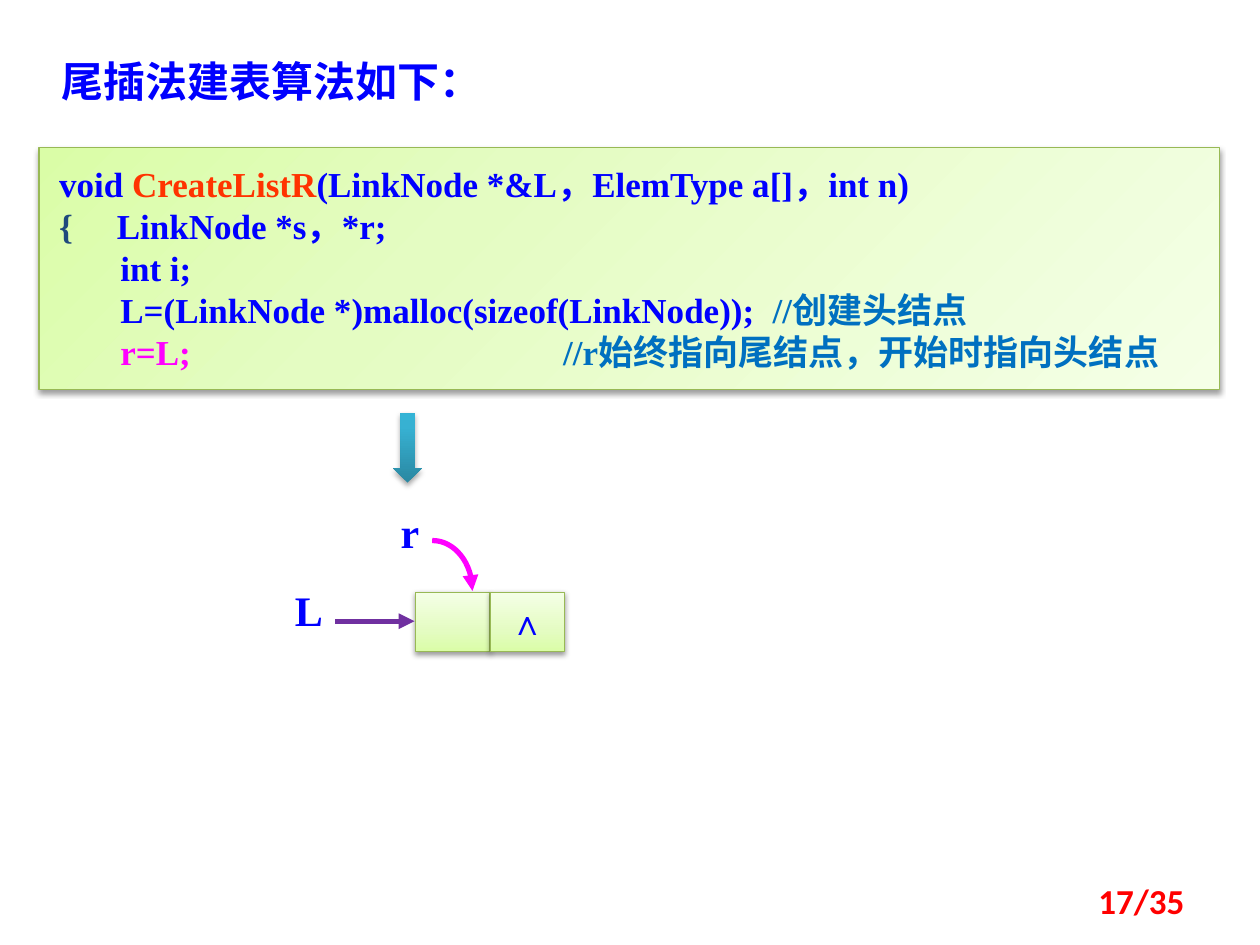
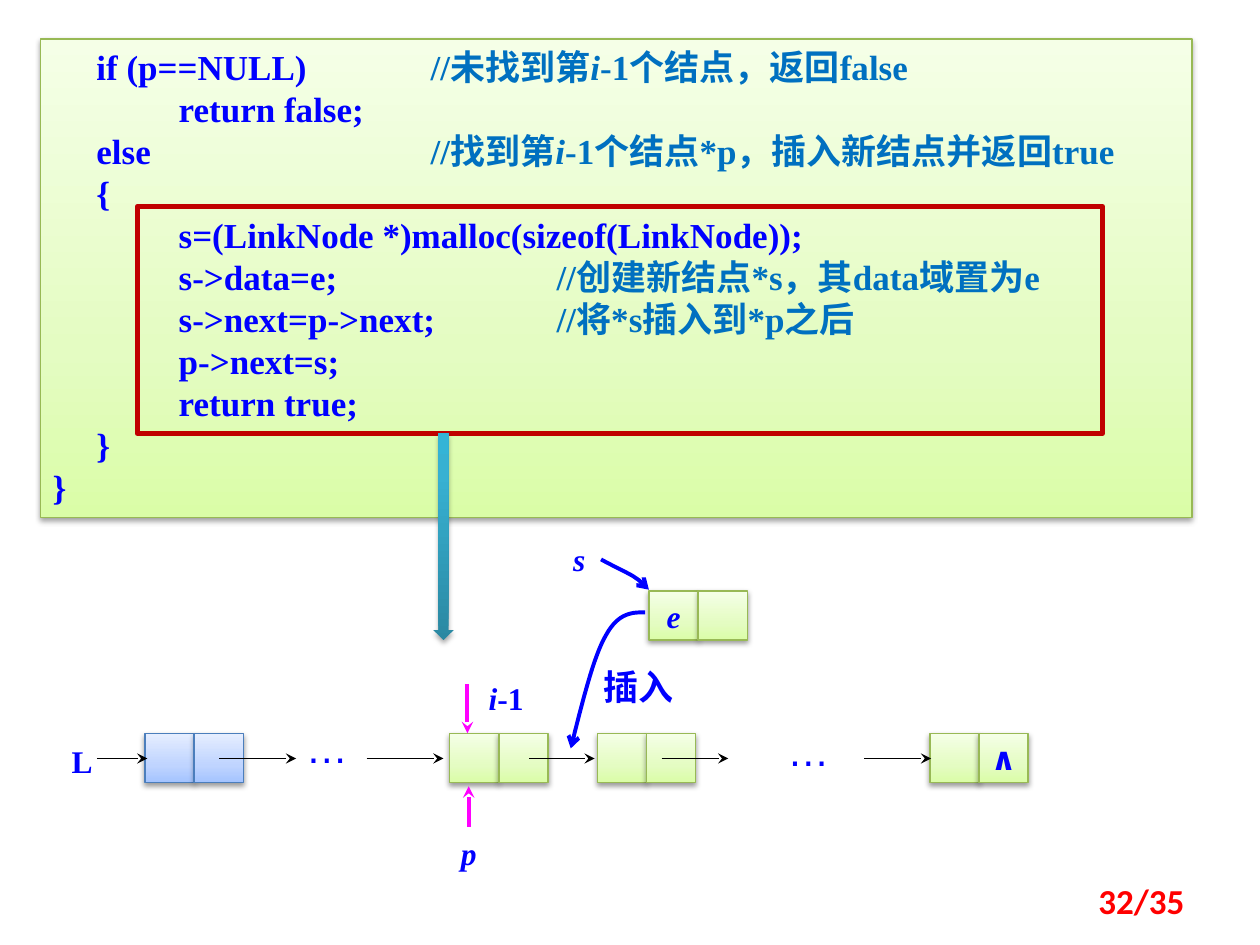
import pptx
import pptx.util
import pptx.dml.color
import pptx.enum.shapes
import pptx.enum.text
import pptx.oxml.ns
from lxml import etree

Inches, Pt, qn = pptx.util.Inches, pptx.util.Pt, pptx.oxml.ns.qn
MSO_SHAPE = pptx.enum.shapes.MSO_SHAPE
ANCHOR = pptx.enum.text.MSO_ANCHOR
ALIGN = pptx.enum.text.PP_ALIGN

COLORS = {
    "code": "0000FF", "function": "FF3300", "brace": "1F497D", "comment": "0070C0",
    "variable": "0070C0", "key": "FF00FF", "page": "FF0000", "pointer": "7030A0",
    "link": "000000", "frame": "C00000", "green edge": "98B955", "blue edge": "4B7EBC",
    "shadow": "000000",
}
GRADIENTS = {
    "green": ((0, "DAFDA7"), (35, "E4FCC2"), (100, "F5FFE7")),
    "blue": ((0, "A4C4FF"), (35, "BFD4FF"), (100, "E6EEFF")),
    "arrow": ((0, "2A88A2"), (80, "37B1D2"), (100, "34B4D6")),
}
SERIF, CJK, SANS, SYMBOL = "Times New Roman", "Noto Sans CJK SC", "Arial", "DejaVu Sans"
UPWARD, DIAGONAL = 90, 315

TITLE = "尾插法建表算法如下："
CREATE_CODE = [
    [("void ", "code"), ("CreateListR", "function"),
     ("(LinkNode *&L，ElemType a[]，int n)", "code")],
    [("{    ", "brace"), (" LinkNode *s，*r;", "code")],
    [("       int i;", "code")],
    [("       L=(LinkNode *)malloc(sizeof(LinkNode));  ", "code"), ("//创建头结点", "comment")],
    [("       r=L;\t\t\t", "key"), ("//r始终指向尾结点，开始时指向头结点", "comment")],
]
INSERT_CODE = [
    [("     if (p==NULL)\t", "code"), ("//未找到第", "comment"), ("i", "variable"),
     ("-1个结点，返回false", "comment")],
    [("\treturn false;", "code")],
    [("     else\t\t\t", "code"), ("//找到第", "comment"), ("i", "variable"),
     ("-1个结点*p，插入新结点并返回true", "comment")],
    [("     {", "code")],
    [("\ts=(LinkNode *)malloc(sizeof(LinkNode));", "code")],
    [("\ts->data=e;\t\t", "code"), ("//创建新结点*s，其data域置为e", "comment")],
    [("\ts->next=p->next;\t", "code"), ("//将*s插入到*p之后", "comment")],
    [("\tp->next=s;", "code")],
    [("\treturn true;", "code")],
    [("     }", "code")],
    [("}", "code")],
]

# left, top, cell texts, palette, font
ROW_TOP, ROW_MIDDLE, CELL = 5.82, 6.02, 0.39
LIST_NODES = [
    (1.15, ROW_TOP, ("", ""), "blue", SERIF),
    (3.57, ROW_TOP, ("", ""), "green", SERIF),
    (4.74, ROW_TOP, ("", ""), "green", SERIF),
    (7.38, ROW_TOP, ("", "∧"), "green", SYMBOL),
    (5.15, 4.69, ("e", ""), "green", SERIF),
]
LIST_LINKS = [(0.77, 1.17), (1.74, 2.35), (2.91, 3.52), (4.2, 4.72), (5.25, 5.78), (6.86, 7.39)]
POSITION_ARROWS = [((3.71, 5.43), (3.71, 5.82)), ((3.72, 6.56), (3.72, 6.24))]
INSERT_CURVES = [
    [(5.12, 4.86), (5.02, 4.86), (4.91, 4.86), (4.81, 5.04),
     (4.71, 5.21), (4.62, 5.58), (4.53, 5.94)],
    [(4.77, 4.44), (4.86, 4.49), (4.95, 4.53), (5.02, 4.57),
     (5.08, 4.61), (5.12, 4.64), (5.15, 4.68)],
]
# box, runs, font formats
LIST_LABELS = [
    ((4.69, 5.23, 0.86, 0.44), [("插入", "code")], {"size": Pt(20)}),
    ((0.47, 5.84, 0.35, 0.4), [("L", "code")], {"size": Pt(18)}),
    ((3.78, 5.34, 0.64, 0.4), [("i", "code italic"), ("-1", "code")], {"size": Pt(18)}),
    ((3.56, 6.57, 0.39, 0.4), [("p", "code italic")], {"size": Pt(18)}),
    ((4.45, 4.24, 0.39, 0.4), [("s", "code italic")], {"size": Pt(18)}),
    ((2.33, 5.68, 0.75, 0.5), [("…", "code")], {"size": Pt(24), "name": SANS, "bold": False}),
    ((6.15, 5.7, 0.79, 0.5), [("…", "code")], {"size": Pt(24), "name": SANS, "bold": False}),
]


def rgb(name):
    return pptx.dml.color.RGBColor.from_string(COLORS[name])


def set_all(target, values):
    for key, value in values.items():
        setattr(target, key, value)


def write(shape, lines, font=None, frame=None, align=ALIGN.LEFT, tabs=()):
    """Fill a shape with lines, each a list of (text, style) runs."""
    text_frame = shape.text_frame
    set_all(text_frame, {"word_wrap": True, "vertical_anchor": ANCHOR.TOP,
                         "auto_size": pptx.enum.text.MSO_AUTO_SIZE.NONE, **(frame or {})})
    for number, runs in enumerate(lines):
        paragraph = text_frame.add_paragraph() if number else text_frame.paragraphs[0]
        paragraph.alignment = align
        if tabs:
            stops = etree.SubElement(paragraph._p.get_or_add_pPr(), qn("a:tabLst"))
            for stop in tabs:
                etree.SubElement(stops, qn("a:tab"), pos=str(Inches(stop)), algn="l")
        for text, style in runs:
            run = paragraph.add_run()
            run.text = text
            italic = style == "variable" or style.endswith(" italic")
            set_all(run.font, {"name": SERIF, "size": Pt(20), "bold": True,
                               "italic": italic, **(font or {})})
            run.font.color.rgb = rgb(style.removesuffix(" italic"))
            east_asian = SYMBOL if run.font.name == SYMBOL else CJK
            etree.SubElement(run.font._element, qn("a:ea"), typeface=east_asian)


def add_label(slide, box, runs, font=None, frame=None, align=ALIGN.LEFT):
    label = slide.shapes.add_textbox(*map(Inches, box))
    write(label, [runs], font, frame, align)


def add_block(slide, kind, box, palette, angle=UPWARD, edge=True, shade=(38, 1.6)):
    """Add a gradient shape with a soft shadow below it."""
    block = slide.shapes.add_shape(kind, *map(Inches, box))
    block.fill.gradient()
    block.fill.gradient_angle = angle
    stops = block.element.spPr.find(qn("a:gradFill")).find(qn("a:gsLst"))
    for stop in list(stops):
        stops.remove(stop)
    for percent, color in GRADIENTS[palette]:
        stop = etree.SubElement(stops, qn("a:gs"), pos=str(percent * 1000))
        etree.SubElement(stop, qn("a:srgbClr"), val=color)
    if edge:
        block.line.color.rgb = rgb(f"{palette} edge")
        block.line.width = Pt(0.75)
    else:
        block.line.fill.background()
    block.shadow.inherit = False
    alpha, distance = shade
    shadow = etree.SubElement(block.element.spPr.find(qn("a:effectLst")), qn("a:outerShdw"),
                              blurRad=str(Pt(3.1)), dist=str(Pt(distance)),
                              dir="5400000", rotWithShape="0")
    color = etree.SubElement(shadow, qn("a:srgbClr"), val=COLORS["shadow"])
    etree.SubElement(color, qn("a:alpha"), val=str(alpha * 1000))
    return block


def add_code(slide, box, lines, angle=UPWARD, frame=None):
    panel = add_block(slide, MSO_SHAPE.RECTANGLE, box, "green", angle)
    write(panel, lines, frame=frame, tabs=(1, 2, 3, 4))


def add_node(slide, left, top, texts, palette, font, width=CELL, height=CELL):
    """Add a list node: a data cell and a pointer cell side by side."""
    for column, text in enumerate(texts):
        box = (left + column * width, top, width, height)
        cell = add_block(slide, MSO_SHAPE.RECTANGLE, box, palette)
        if text:
            style = "code italic" if text.isalpha() else "code"
            size = Pt(18) if width == CELL else Pt(20)
            write(cell, [[(text, style)]], {"name": font, "size": size},
                  {"word_wrap": False, "vertical_anchor": ANCHOR.MIDDLE}, ALIGN.CENTER)


def add_down_arrow(slide, box):
    add_block(slide, MSO_SHAPE.DOWN_ARROW, box, "arrow", edge=False, shade=(35, 1.8))


def style_arrow(arrow, color, width, head):
    arrow.line.color.rgb = rgb(color)
    arrow.line.width = Pt(width)
    etree.SubElement(arrow.line._get_or_add_ln(), qn("a:tailEnd"), type=head)


def add_arrow(slide, start, end, color, width, head):
    arrow = slide.shapes.add_connector(pptx.enum.shapes.MSO_CONNECTOR.STRAIGHT,
                                       *map(Inches, (*start, *end)))
    style_arrow(arrow, color, width, head)
    etree.SubElement(arrow.element.spPr, qn("a:effectLst"))


def bezier(controls, steps=16):
    """Return points along chained cubic curves that share their end points."""
    points = [controls[0]]
    for first in range(0, len(controls) - 1, 3):
        for step in range(1, steps + 1):
            t = step / steps
            weights = ((1 - t) ** 3, 3 * t * (1 - t) ** 2, 3 * t * t * (1 - t), t ** 3)
            points.append(tuple(sum(w * p[axis] for w, p in zip(weights, controls[first:first + 4]))
                                for axis in (0, 1)))
    return points


def add_curve(slide, controls, color, width, head):
    start, *rest = [tuple(map(Inches, point)) for point in bezier(controls)]
    builder = slide.shapes.build_freeform(*start)
    builder.add_line_segments(rest, close=False)
    curve = builder.convert_to_shape()
    curve.fill.background()
    curve.shadow.inherit = False
    style_arrow(curve, color, width, head)


def add_page_number(slide, page):
    add_label(slide, (7.17, 6.95, 2.33, 0.4), [(f"{page}/35", "page")], {"name": "Calibri"},
              {"vertical_anchor": ANCHOR.MIDDLE}, ALIGN.RIGHT)


def build_create_slide(deck):
    slide = deck.slides.add_slide(deck.slide_layouts[5])
    heading = slide.shapes.title
    set_all(heading, dict(zip(("left", "top", "width", "height"),
                              map(Inches, (0.39, 0.39, 5.63, 0.5)))))
    write(heading, [[(TITLE, "code")]], {"name": CJK, "size": Pt(24)})
    margins = {"margin_left": Inches(0.16), "margin_right": Inches(0.16),
               "margin_top": Inches(0.12), "margin_bottom": Inches(0.12)}
    add_code(slide, (0.31, 1.17, 9.37, 1.92), CREATE_CODE, DIAGONAL, margins)
    add_down_arrow(slide, (3.12, 3.28, 0.23, 0.55))
    add_node(slide, 3.3, 4.7, ("", "∧"), "green", SERIF, 0.59, 0.47)
    add_arrow(slide, (2.66, 4.93), (3.29, 4.93), "pointer", 3, "triangle")
    add_curve(slide, [(3.43, 4.29), (3.61, 4.29), (3.75, 4.47), (3.75, 4.69)],
              "key", 3, "triangle")
    flush = dict.fromkeys(("margin_left", "margin_right", "margin_top", "margin_bottom"), 0)
    for name, left, top in (("L", 2.34, 4.64), ("r", 3.18, 4.02)):
        add_label(slide, (left, top, 0.47, 0.4), [(name, "code")], {"size": Pt(24)}, flush)
    add_page_number(slide, 17)


def build_insert_slide(deck):
    slide = deck.slides.add_slide(deck.slide_layouts[6])
    add_code(slide, (0.32, 0.31, 9.14, 3.8), INSERT_CODE)
    for node in LIST_NODES:
        add_node(slide, *node)
    for start, end in LIST_LINKS:
        add_arrow(slide, (start, ROW_MIDDLE), (end, ROW_MIDDLE), "link", 0.75, "stealth")
    for start, end in POSITION_ARROWS:
        add_arrow(slide, start, end, "key", 2.25, "stealth")
    for controls in INSERT_CURVES:
        add_curve(slide, controls, "code", 2.25, "arrow")
    for label in LIST_LABELS:
        add_label(slide, *label)
    frame = slide.shapes.add_shape(MSO_SHAPE.RECTANGLE, *map(Inches, (1.09, 1.64, 7.66, 1.8)))
    frame.fill.background()
    frame.shadow.inherit = False
    frame.line.color.rgb = rgb("frame")
    frame.line.width = Pt(3)
    add_down_arrow(slide, (3.44, 3.44, 0.16, 1.64))
    add_page_number(slide, 32)


def main():
    deck = pptx.Presentation()
    deck.slide_width, deck.slide_height = Inches(10), Inches(7.5)
    build_create_slide(deck)
    build_insert_slide(deck)
    deck.save("out.pptx")


if __name__ == "__main__":
    main()
